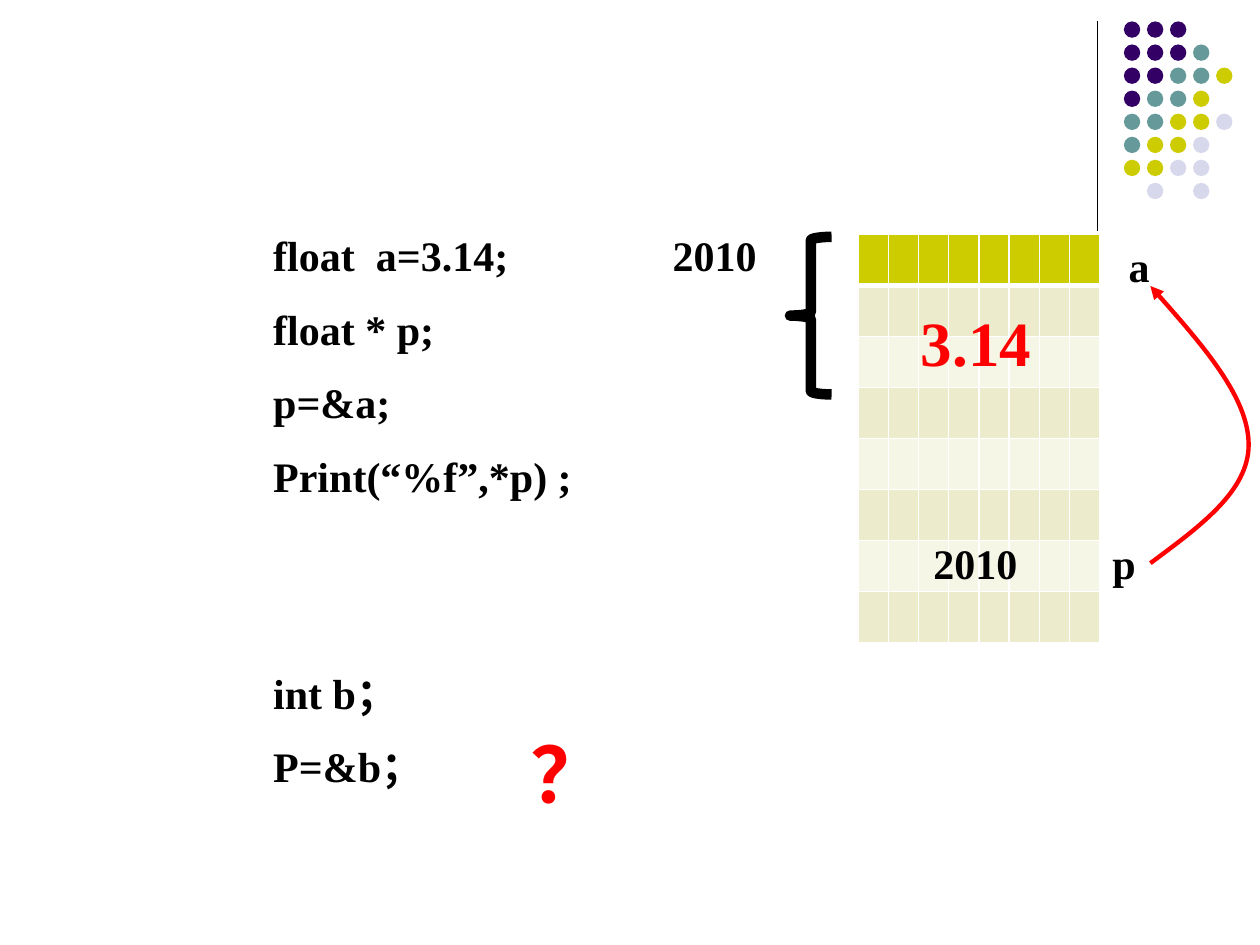
from dataclasses import dataclass

from lxml import etree
from pptx import Presentation
from pptx import util as u
from pptx.dml.color import RGBColor
from pptx.enum import shapes
from pptx.oxml import parse_xml
from pptx.oxml.ns import nsdecls, qn

SLIDE_W, SLIDE_H = u.Inches(10), u.Inches(7.5)
BLACK, RED, WHITE = "000000", "FF0000", "FFFFFF"
HEADER, BAND_DARK, BAND_LIGHT = "CCCC00", "ECECCC", "F6F6E7"
DOT_COLOURS = {"P": "330066", "T": "669999", "Y": "CCCC00", "L": "D8D8EC"}
DOT_ROWS = ["PPP", "PPPT", "PPTTY", "PTTY", "TTYYL", "TYYL", "YYLL", " L L"]
MEMORY_SIZE = 8


@dataclass(frozen=True)
class Area:
    """A rectangle in percent of the slide's width and height."""
    left: float
    top: float
    width: float
    height: float

    def emu(self) -> tuple[int, int, int, int]:
        return (across(self.left), down(self.top),
                across(self.width), down(self.height))


@dataclass(frozen=True)
class Label:
    words: str
    area: Area
    size: int = 24
    colour: str = BLACK


@dataclass(frozen=True)
class Curve:
    """A cubic segment: two control points and an end, in 0.01 inch."""
    points: tuple[tuple[int, int], ...]


LABELS = [
    Label("2010", Area(73.1, 56.27, 9.2, 6.67)),
    Label("a", Area(88.6, 24.8, 9.2, 6.67)),
    Label("p", Area(87.3, 56.27, 9.2, 6.67)),
    Label("2010", Area(52.4, 23.6, 9.2, 6.67)),
    Label("3.14", Area(72.1, 31.47, 11.1, 9.47), 36, RED),
    Label("？", Area(41.1, 76.27, 9.2, 11.2), 44, RED),
]
CODE_AREA = Area(20.7, 23.6, 29.5, 63.33)
LINE_GAP, BLOCK_GAP = 13.4, 94.8
CODE = [
    ("float  a=3.14;", LINE_GAP),
    ("float * p;", LINE_GAP),
    ("p=&a;", LINE_GAP),
    ("Print(“%f”,*p) ;", LINE_GAP),
    ("int b；", BLOCK_GAP),
    ("P=&b；", LINE_GAP),
]
POINTER_START = (913, 447)
POINTER_CURVES = [
    Curve(((952, 418), (991, 390), (991, 353))),
    Curve(((991, 316), (952, 271), (913, 227))),
]


def across(percent: float) -> int:
    return round(SLIDE_W * percent / 100)


def down(percent: float) -> int:
    return round(SLIDE_H * percent / 100)


def rgb(colour: str) -> RGBColor:
    return RGBColor.from_string(colour)


def set_line(line, colour: str, width: float) -> None:
    line.color.rgb = rgb(colour)
    line.width = u.Pt(width)


def add_text(slide, area: Area, lines: list[tuple[str, float]], *,
             size: int = 24, colour: str = BLACK) -> None:
    """Write lines given as (words, points of space before)."""
    frame = slide.shapes.add_textbox(*area.emu()).text_frame
    frame.word_wrap = True
    for index, (words, gap) in enumerate(lines):
        paragraph = frame.add_paragraph() if index else frame.paragraphs[0]
        if index:
            paragraph.space_before = u.Pt(gap)
        run = paragraph.add_run()
        run.text = words
        run.font.name = "Times New Roman"
        run.font.size = u.Pt(size)
        run.font.bold = True
        run.font.color.rgb = rgb(colour)


def add_divider(slide) -> None:
    divider = slide.shapes.add_connector(
        shapes.MSO_CONNECTOR.STRAIGHT,
        across(87.1), down(2.27), across(87.1), down(24.4))
    set_line(divider.line, BLACK, 0.75)
    etree.SubElement(divider._element.spPr, qn("a:effectLst"))


def add_dots(slide) -> None:
    pitch, diameter = u.Inches(0.18) + u.Inches(0.003), u.Inches(0.13)
    left, top = across(89.2), down(2.27)
    group = slide.shapes.add_group_shape()
    for row, pattern in enumerate(DOT_ROWS):
        for column, key in enumerate(pattern):
            if key == " ":
                continue
            dot = group.shapes.add_shape(
                shapes.MSO_SHAPE.OVAL, left + column * pitch,
                top + row * pitch, diameter, diameter)
            dot.shadow.inherit = False
            dot.fill.solid()
            dot.fill.fore_color.rgb = rgb(DOT_COLOURS[key])
            dot.line.fill.background()


def set_borders(cell, widths: dict[str, float]) -> None:
    properties = cell._tc.get_or_add_tcPr()
    for index, (side, width) in enumerate(widths.items()):
        properties.insert(index, parse_xml(
            f'<a:ln{side} {nsdecls("a")} w="{u.Pt(width)}"><a:solidFill>'
            f'<a:srgbClr val="{WHITE}"/></a:solidFill></a:ln{side}>'))


def add_memory(slide) -> None:
    table = slide.shapes.add_table(
        MEMORY_SIZE, MEMORY_SIZE, *Area(68.1, 24.8, 19.2, 43.2).emu()).table
    for row in range(MEMORY_SIZE):
        for column in range(MEMORY_SIZE):
            cell = table.cell(row, column)
            cell.margin_top = cell.margin_bottom = 0
            cell.fill.solid()
            band = BAND_DARK if row % 2 else BAND_LIGHT
            cell.fill.fore_color.rgb = rgb(band if row else HEADER)
            set_borders(cell, {"L": 1, "R": 1, "T": 3 if row == 1 else 1,
                               "B": 3 if row == 0 else 1})


def add_brace(slide) -> None:
    brace = slide.shapes.add_shape(
        shapes.MSO_SHAPE.LEFT_BRACE, *Area(62.7, 25.07, 3.3, 16.67).emu())
    brace.shadow.inherit = False
    brace.fill.background()
    set_line(brace.line, BLACK, 6)


def add_pointer(slide) -> None:
    """Draw the curved arrow from p to a, bending straight segments."""
    builder = slide.shapes.build_freeform(
        *POINTER_START, scale=u.Inches(1) / 100)
    ends = [curve.points[-1] for curve in POINTER_CURVES]
    builder.add_line_segments(ends, close=False)
    pointer = builder.convert_to_shape()
    nodes = [POINTER_START, *ends]
    left = min(x for x, _ in nodes)
    top = min(y for _, y in nodes)
    segments = list(pointer._element.iter(qn("a:lnTo")))
    for segment, curve in zip(segments, POINTER_CURVES):
        bend = etree.Element(qn("a:cubicBezTo"))
        for x, y in curve.points:
            etree.SubElement(bend, qn("a:pt"), x=str(x - left), y=str(y - top))
        segment.getparent().replace(segment, bend)
    pointer.shadow.inherit = False
    pointer.fill.background()
    set_line(pointer.line, RED, 2.5)
    etree.SubElement(pointer.line._get_or_add_ln(), qn("a:tailEnd"),
                     type="triangle")


def main() -> None:
    deck = Presentation()
    deck.slide_width, deck.slide_height = SLIDE_W, SLIDE_H
    slide = deck.slides.add_slide(deck.slide_layouts[6])
    add_divider(slide)
    add_dots(slide)
    add_memory(slide)
    add_brace(slide)
    add_pointer(slide)
    for label in LABELS:
        add_text(slide, label.area, [(label.words, 0)],
                 size=label.size, colour=label.colour)
    add_text(slide, CODE_AREA, CODE)
    deck.save("out.pptx")


if __name__ == "__main__":
    main()
